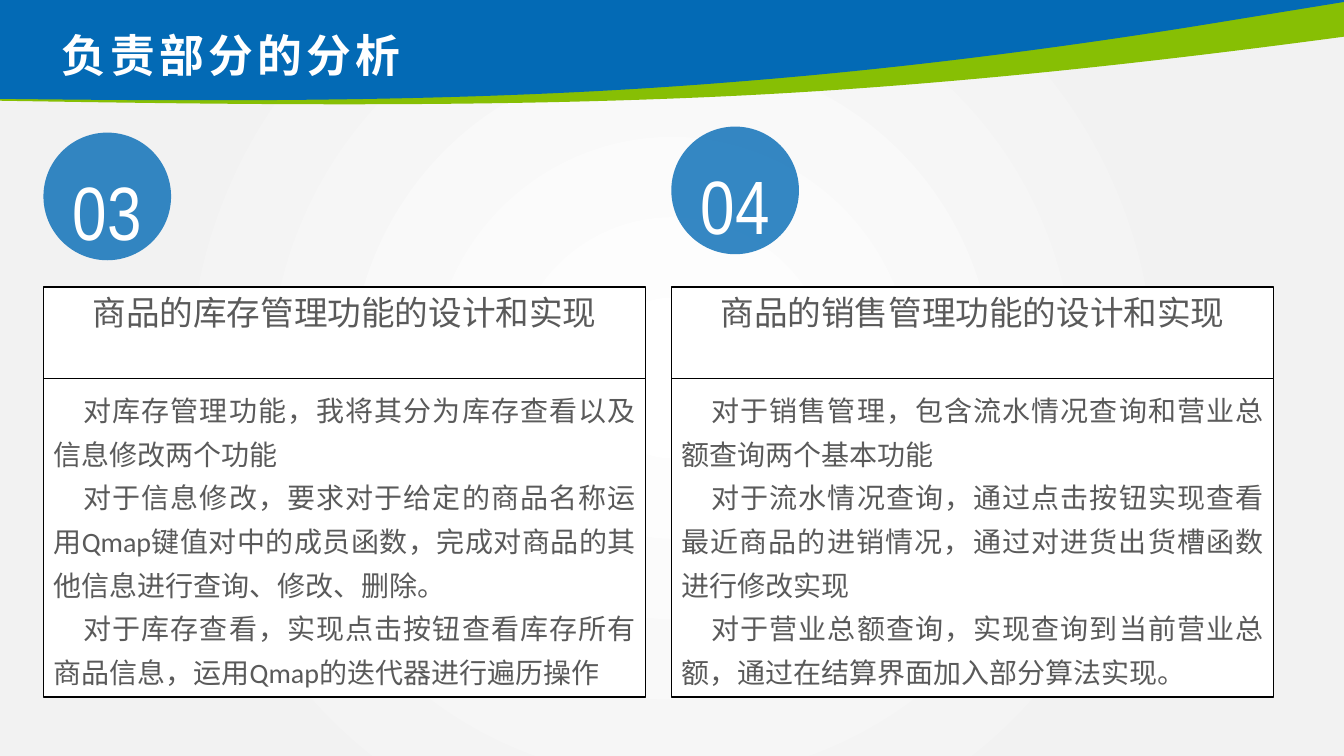
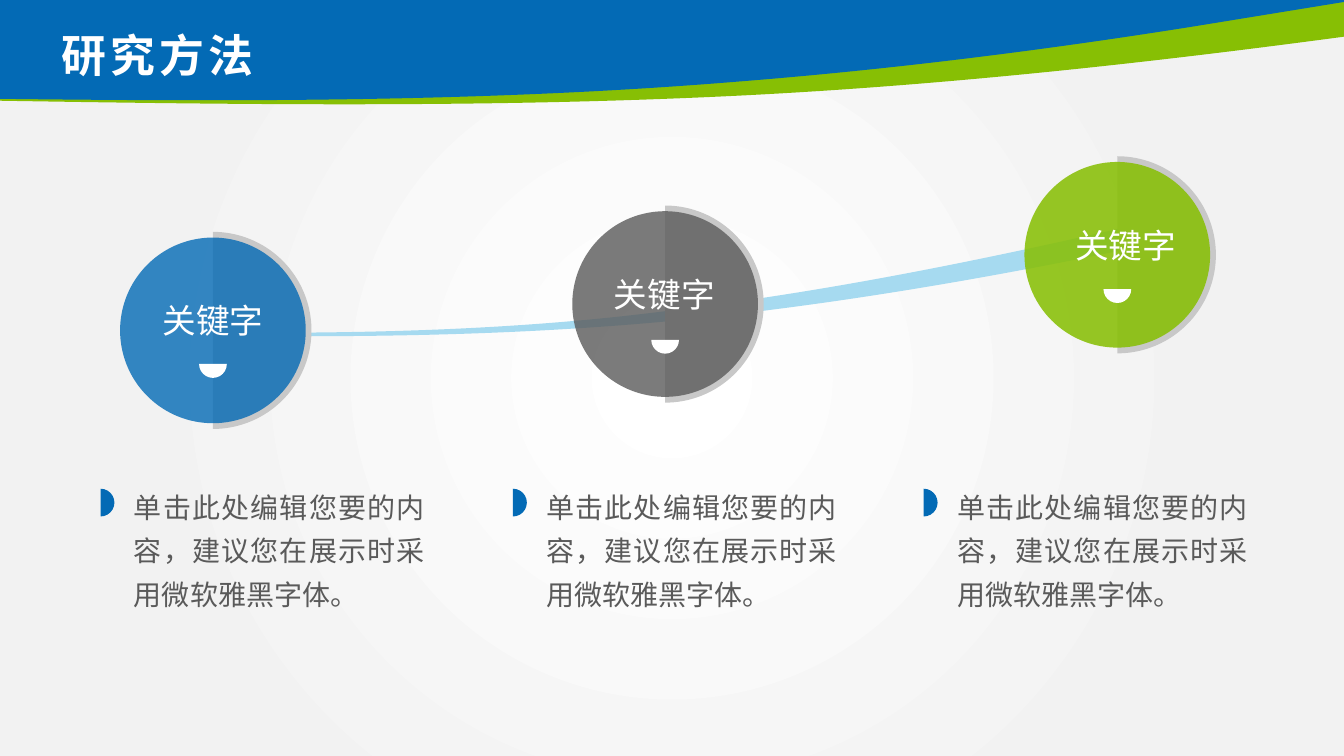
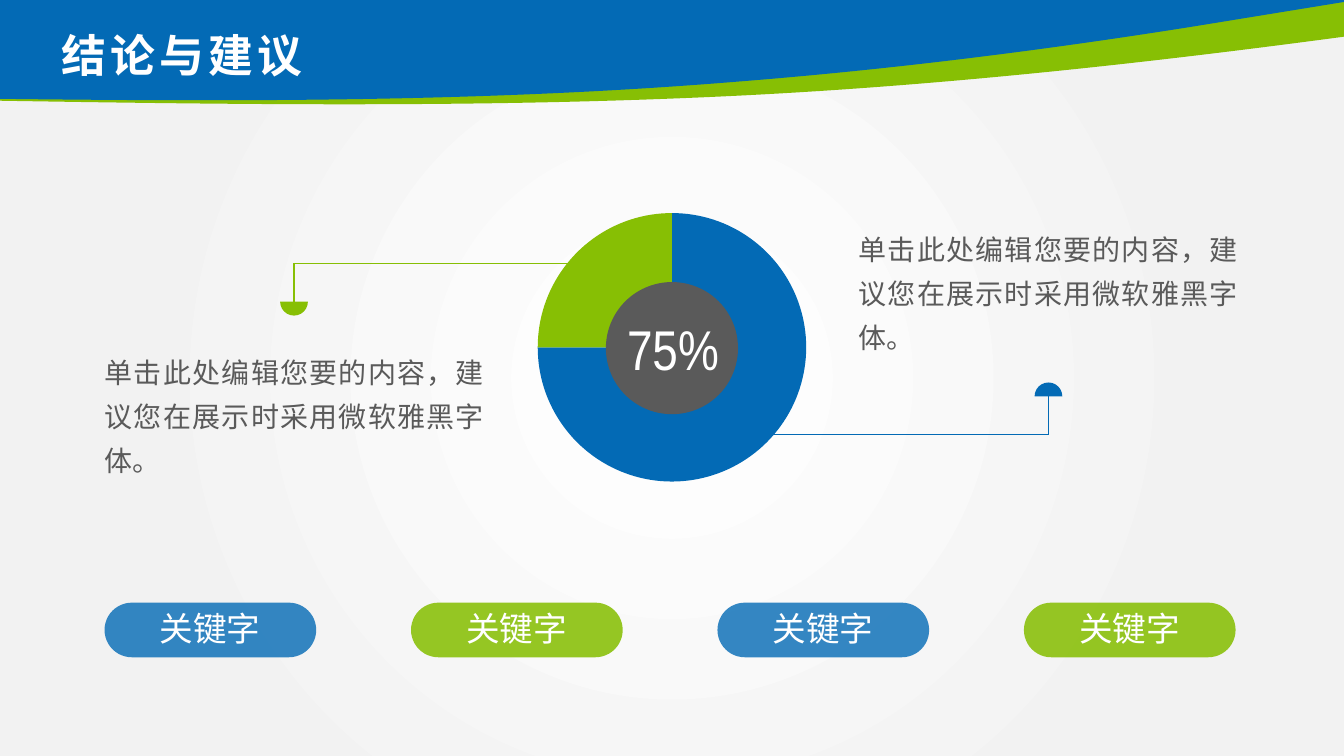
"""Build three slides on shop stock and sales, research methods and conclusions."""
from dataclasses import dataclass

from lxml import etree
from pptx import Presentation
from pptx.chart.data import CategoryChartData
from pptx.dml.color import RGBColor
from pptx.enum.chart import XL_CHART_TYPE
from pptx.enum.shapes import MSO_CONNECTOR, MSO_SHAPE
from pptx.enum.text import MSO_ANCHOR, PP_ALIGN
from pptx.oxml.ns import qn
from pptx.util import Pt

PIE = XL_CHART_TYPE.PIE
STRAIGHT = MSO_CONNECTOR.STRAIGHT
OVAL, RECTANGLE = MSO_SHAPE.OVAL, MSO_SHAPE.RECTANGLE
PILL, CHORD = MSO_SHAPE.ROUNDED_RECTANGLE, MSO_SHAPE.CHORD
TOP, MIDDLE = MSO_ANCHOR.TOP, MSO_ANCHOR.MIDDLE
LEFT, CENTER, JUSTIFY = PP_ALIGN.LEFT, PP_ALIGN.CENTER, PP_ALIGN.JUSTIFY
RIGHT_HALF, LOWER_HALF, UPPER_HALF = (162, 54), (0, 108), (108, 0)


@dataclass(frozen=True)
class Theme:
    blue: RGBColor = RGBColor(0x03, 0x6A, 0xB5)
    green: RGBColor = RGBColor(0x87, 0xBF, 0x04)
    sky: RGBColor = RGBColor(0xA6, 0xDA, 0xF0)
    gray: RGBColor = RGBColor(0x5A, 0x5A, 0x5A)
    silver: RGBColor = RGBColor(0xC8, 0xC8, 0xC8)
    mist: RGBColor = RGBColor(0xF2, 0xF2, 0xF2)
    white: RGBColor = RGBColor(0xFF, 0xFF, 0xFF)
    black: RGBColor = RGBColor(0, 0, 0)
    body_font: str = "Calibri"
    number_font: str = "Arial Narrow"
    chinese_font: str = "Noto Sans CJK SC"
    number_size: int = 54
    percent_size: int = 40
    title_size: int = 32
    heading_size: int = 24
    body_size: int = 20
    chart_size: int = 10


theme = Theme()
KEYWORD = "关键字"
ADVICE = "单击此处编辑您要的内容，建议您在展示时采用微软雅黑字体。"
DOT = 19.8


def place(slide, kind, left, top, width, height, color, opacity=100, adjust=()):
    shape = slide.shapes.add_shape(kind, Pt(left), Pt(top), Pt(width), Pt(height))
    shape.shadow.inherit = False
    shape.line.fill.background()
    shape.fill.solid()
    shape.fill.fore_color.rgb = color
    if opacity < 100:
        tone = shape.element.spPr.find(".//" + qn("a:srgbClr"))
        etree.SubElement(tone, qn("a:alpha")).set("val", str(opacity * 1000))
    for index, value in enumerate(adjust):
        shape.adjustments[index] = value
    return shape


def write(box, text, size, color, align=CENTER, spacing=1.0, font=theme.body_font, anchor=TOP):
    frame = box.text_frame
    frame.text = text
    frame.word_wrap = True
    frame.vertical_anchor = anchor
    for para in frame.paragraphs:
        para.alignment = align
        para.line_spacing = spacing
        for span in para.runs:
            span.font.size = Pt(size)
            span.font.color.rgb = color
            span.font.name = font
            etree.SubElement(span.font._element, qn("a:ea")).set("typeface", theme.chinese_font)


deck = Presentation()
deck.slide_width, deck.slide_height = Pt(960), Pt(540)
layout = deck.slide_layouts[5]
for holder in list(layout.placeholders)[1:]:
    holder.element.getparent().remove(holder.element)

backdrop = layout.background.fill
backdrop.gradient()
for stop, position, color in zip(backdrop.gradient_stops, (0, 0.73), (theme.white, theme.mist)):
    stop.position = position
    stop.color.rgb = color
gradient = layout.element.find(".//" + qn("a:gradFill"))
gradient.remove(gradient.find(qn("a:lin")))
glow = etree.SubElement(gradient, qn("a:path"))
glow.set("path", "circle")
center = etree.SubElement(glow, qn("a:fillToRect"))
for side in "ltrb":
    center.set(side, "50000")

slides = []
for title in ("负责部分的分析", "研究方法", "结论与建议"):
    slide = deck.slides.add_slide(layout)
    box = slide.shapes.title
    box.left, box.top, box.width, box.height = Pt(36.7), Pt(20.5), Pt(484.6), Pt(42.5)
    write(box, title, theme.title_size, theme.white, LEFT, 0.9, theme.chinese_font, MIDDLE)
    span = box.text_frame.paragraphs[0].runs[0]
    span.font.bold = True
    span.font._element.set("spc", "300")
    slides.append(slide)
duties, methods, conclusion = slides

outlines = (
    (duties, theme.green, (0, 72), (
        ((175.7, 74.9), (351.4, 77), (527, 68.4)),
        ((672.5, 61.2), (817.2, 45.4), (962.6, 25.9)),
        ((962.6, 0),),
        ((817.2, 25.2), (672.5, 46.1), (527, 57.6)),
        ((351.4, 71.3), (175.7, 72), (0, 69.8)))),
    (duties, theme.blue, (0, 0), (
        ((960, 0),), ((960, 1.4),), ((853.9, 18.7),),
        ((745.2, 36), (635.8, 49.7), (527, 58.3)),
        ((351.4, 72.7), (175.7, 72.7), (0, 70.6)))),
    (methods, theme.sky, (158.4, 239.8), (
        ((275, 241.2), (393.1, 239), (510.5, 226.1)),
        ((607.7, 215.3), (704.9, 198.7), (802.1, 178.6)),
        ((802.1, 162.7),),
        ((697.7, 186.5), (594, 207.4), (490.3, 220.3)),
        ((380.2, 235.4), (269.3, 238.3), (158.4, 237.6)))),
)
swooshes = []
for slide, color, start, segments in outlines:
    points = [(Pt(x), Pt(y)) for segment in segments for x, y in segment]
    builder = slide.shapes.build_freeform(Pt(start[0]), Pt(start[1]))
    builder.add_line_segments(points, close=True)
    swoosh = builder.convert_to_shape()
    swoosh.shadow.inherit = False
    swoosh.fill.solid()
    swoosh.fill.fore_color.rgb = color
    swoosh.line.fill.background()
    strokes = iter(swoosh.element.findall(".//" + qn("a:lnTo")))
    for segment in segments:
        parts = [next(strokes) for point in segment]
        if len(parts) == 3:
            curve = etree.Element(qn("a:cubicBezTo"))
            parts[0].addprevious(curve)
            for part in parts:
                curve.append(part[0])
                part.getparent().remove(part)
    swooshes.append(swoosh)
for index, band in enumerate(swooshes[:2]):
    layout.shapes.element.insert(2 + index, band.element)

columns = (
    ("03", 31, 94.7, "商品的库存管理功能的设计和实现", (
        "对库存管理功能，我将其分为库存查看以及信息修改两个功能",
        "对于信息修改，要求对于给定的商品名称运用Qmap键值对中的成员函数，完成对商品的其他信息进行查询、修改、删除。",
        "对于库存查看，实现点击按钮查看库存所有商品信息，运用Qmap的迭代器进行遍历操作")),
    ("04", 479.5, 90.4, "商品的销售管理功能的设计和实现", (
        "对于销售管理，包含流水情况查询和营业总额查询两个基本功能",
        "对于流水情况查询，通过点击按钮实现查看最近商品的进销情况，通过对进货出货槽函数进行修改实现",
        "对于营业总额查询，实现查询到当前营业总额，通过在结算界面加入部分算法实现。")),
)
for number, left, top, heading, details in columns:
    place(duties, OVAL, left, top, 91.2, 91.2, theme.blue, 80)
    box = duties.shapes.add_textbox(Pt(left + 9.7), Pt(top), Pt(72), Pt(82.8))
    write(box, number, theme.number_size, theme.white, spacing=1.3, font=theme.number_font)
    head = place(duties, RECTANGLE, left, 204.9, 430.3, 65.4, theme.white)
    write(head, heading, theme.heading_size, theme.gray)
    body = place(duties, RECTANGLE, left, 270.3, 430.3, 227.7, theme.white)
    write(body, "\n".join(details), theme.body_size, theme.gray, JUSTIFY, 1.3)
    for para in body.text_frame.paragraphs:
        para._p.get_or_add_pPr().set("indent", str(Pt(21.5)))
    for panel in (head, body):
        panel.line.color.rgb = theme.black
        panel.line.width = Pt(1)

stations = (
    (236, 24, theme.blue, 80, 0, 88.6),
    (217.2, 25.5, theme.gray, 80, -0.5, 383.2),
    (182, 24.5, theme.green, 87, 6, 676.6),
)
for index, (middle, drop, color, opacity, shift, left) in enumerate(stations):
    axis = 152.1 + 323 * index
    place(methods, CHORD, axis - 70.4, middle - 70.4, 140.8, 140.8, theme.silver,
          adjust=RIGHT_HALF)
    place(methods, OVAL, axis - 66.3, middle - 66.3, 132.6, 132.6, color, opacity)
    label = methods.shapes.add_textbox(Pt(axis - 60.6 + shift), Pt(middle - 25), Pt(121), Pt(36))
    write(label, KEYWORD, theme.heading_size, theme.white)
    place(methods, CHORD, axis - DOT / 2, middle + drop - DOT / 2, DOT, DOT, theme.white,
          adjust=LOWER_HALF)
    note = methods.shapes.add_textbox(Pt(left), Pt(339.4), Pt(221.8), Pt(99.4))
    write(note, ADVICE, theme.body_size, theme.gray, JUSTIFY, 1.3)
    place(methods, CHORD, left - 16.8 - DOT / 2, 359 - DOT / 2, DOT, DOT, theme.blue,
          adjust=RIGHT_HALF)

data = CategoryChartData()
data.categories = ["1", "2"]
data.add_series("Series 1", (75, 25))
chart = conclusion.shapes.add_chart(PIE, Pt(346.8), Pt(142.6), Pt(266.4), Pt(211.7), data).chart
chart.has_title = False
chart.has_legend = False
chart.font.size = Pt(theme.chart_size)
chart.font.name = theme.body_font
chart.font.color.rgb = theme.black
for index, color in enumerate((theme.blue, theme.green)):
    slice_format = chart.plots[0].series[0].points[index].format
    slice_format.fill.solid()
    slice_format.fill.fore_color.rgb = color
    slice_format.line.fill.background()
plot_area = chart.element.find(".//" + qn("c:plotArea"))
for old_layout in plot_area.findall(qn("c:layout")):
    plot_area.remove(old_layout)
plot_layout = etree.Element(qn("c:layout"))
plot_area.insert(0, plot_layout)
manual = etree.SubElement(plot_layout, qn("c:manualLayout"))
for name, value in (("layoutTarget", "inner"), ("xMode", "edge"), ("yMode", "edge"),
                    ("x", "0.14"), ("y", "0.045"), ("w", "0.72"), ("h", "0.907")):
    etree.SubElement(manual, qn("c:" + name)).set("val", value)

place(conclusion, OVAL, 432.8, 201.5, 94.4, 94.4, theme.gray)
percent = conclusion.shapes.add_textbox(Pt(429.9), Pt(220.8), Pt(101.5), Pt(55.7))
write(percent, "75%", theme.percent_size, theme.white, font=theme.number_font)

callouts = (
    (theme.green, 210, 215.5, 419.6, 188, LOWER_HALF, 67.7, 243.4),
    (theme.blue, 748.9, 283.1, 550.8, 310.5, UPPER_HALF, 606.2, 155.5),
)
for color, dot_x, dot_y, pie_x, pie_y, half, left, top in callouts:
    for end_x, end_y in ((pie_x, pie_y), (dot_x, dot_y)):
        leader = conclusion.shapes.add_connector(
            STRAIGHT, Pt(dot_x), Pt(pie_y), Pt(end_x), Pt(end_y))
        leader.line.color.rgb = color
        leader.line.width = Pt(0.75)
        etree.SubElement(leader.element.spPr, qn("a:effectLst"))
    place(conclusion, CHORD, dot_x - DOT / 2, dot_y - DOT / 2, DOT, DOT, color, adjust=half)
    note = conclusion.shapes.add_textbox(Pt(left), Pt(top), Pt(285), Pt(101.5))
    write(note, ADVICE, theme.body_size, theme.gray, JUSTIFY, 1.3)

for index in range(4):
    color, opacity = ((theme.blue, 80), (theme.green, 87))[index % 2]
    left = 74.7 + 218.9 * index
    place(conclusion, PILL, left, 430.5, 151.2, 39, color, opacity, (0.5,))
    label = conclusion.shapes.add_textbox(Pt(left + 14.9), Pt(431), Pt(121), Pt(36))
    write(label, KEYWORD, theme.heading_size, theme.white)

deck.save("out.pptx")
